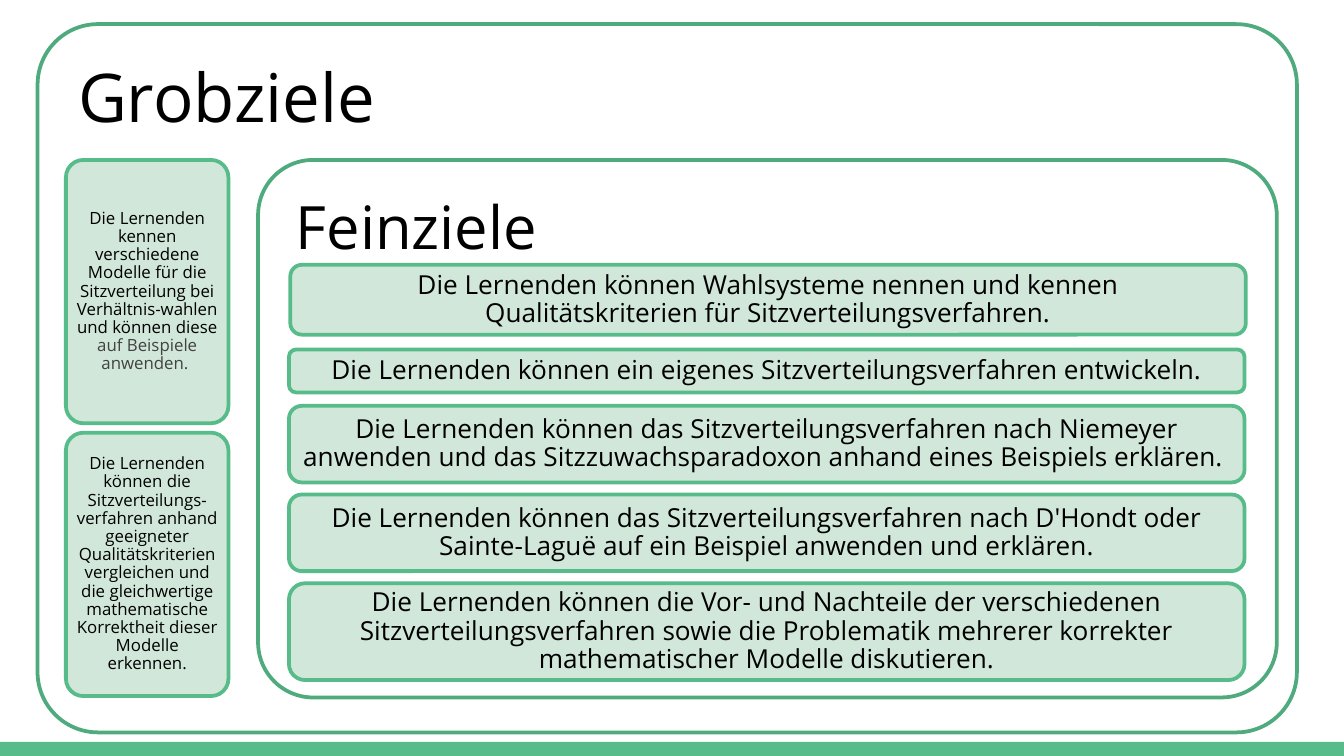
from pptx import Presentation
from pptx.dml.color import RGBColor
from pptx.enum.shapes import MSO_SHAPE
from pptx.enum.text import MSO_ANCHOR, PP_ALIGN
from pptx.util import Inches, Pt

SLIDE_W = 10
SLIDE_H = SLIDE_W * 9 / 16
GREEN, FRAME_GREEN, PALE, WHITE, BLACK, GREY = (
    "57BB8A", "4FAA7D", "D1E7DA", "FFFFFF", "000000", "424242")
CORNER_INSET = 0.29

FRAMES = [
    ("Grobziele", 36, (0.28, 0.18, 9.37, 5.27), 0.45, 0.3),
    ("Feinziele", 32, (1.92, 1.19, 7.58, 4), 0.41, 0.28),
]
BROAD_GOALS = [
    [("Die Lernenden kennen verschiedene Modelle für die Sitzverteilung bei "
      "Verhältnis-wahlen und können diese ", BLACK),
     ("auf Beispiele anwenden. ", GREY)],
    [("Die Lernenden können die Sitzverteilungs-verfahren anhand geeigneter "
      "Qualitätskriterien vergleichen und die gleichwertige mathematische "
      "Korrektheit dieser Modelle erkennen.", BLACK)],
]
FINE_GOALS = [
    ("Die Lernenden können Wahlsysteme nennen und kennen "
     "Qualitätskriterien für Sitzverteilungsverfahren.", 2.16, 1.97, 0.52, 0.12),
    ("Die Lernenden können ein eigenes Sitzverteilungsverfahren entwickeln.",
     2.15, 2.6, 0.32, 0.06),
    ("Die Lernenden können das Sitzverteilungsverfahren nach Niemeyer anwenden "
     "und das Sitzzuwachsparadoxon anhand eines Beispiels erklären. ",
     2.15, 3.02, 0.57, 0.06),
    ("Die Lernenden können das Sitzverteilungsverfahren nach D'Hondt oder "
     "Sainte-Laguë auf ein Beispiel anwenden und erklären.",
     2.15, 3.68, 0.57, 0.06),
    ("Die Lernenden können die Vor- und Nachteile der verschiedenen "
     "Sitzverteilungsverfahren sowie die Problematik mehrerer korrekter "
     "mathematischer Modelle diskutieren.", 2.15, 4.34, 0.72, 0.06),
]
BROAD_LEFT, BROAD_TOP, BROAD_W, BROAD_H, BROAD_GAP = 0.49, 1.19, 1.21, 1.96, 0.07
FINE_W = 7.11
BAR_TOP = 5.52


def color(hex_code):
    return RGBColor.from_string(hex_code)


def add_panel(slide, kind, at, fill, line=None):
    panel = slide.shapes.add_shape(kind, *map(Inches, at))
    panel.shadow.inherit = False
    panel.fill.solid()
    panel.fill.fore_color.rgb = color(fill)
    if line:
        panel.line.color.rgb = color(line)
        panel.line.width = Pt(2)
    else:
        panel.line.fill.background()
    return panel


def add_rounded(slide, at, radius, inset, fill, line, runs, size, align, anchor):
    panel = add_panel(slide, MSO_SHAPE.ROUNDED_RECTANGLE, at, fill, line)
    panel.adjustments[0] = radius / min(at[2:])
    frame = panel.text_frame
    frame.word_wrap = True
    frame.vertical_anchor = anchor
    frame.margin_left = frame.margin_right = Inches(inset)
    frame.margin_top = frame.margin_bottom = Inches(inset)
    paragraph = frame.paragraphs[0]
    paragraph.alignment = align
    paragraph.line_spacing = 0.9
    for text, ink in runs:
        run = paragraph.add_run()
        run.text = text
        run.font.name = "Open Sans"
        run.font.size = Pt(size)
        run.font.color.rgb = color(ink)


def add_goal(slide, at, radius, inset, runs, size):
    add_rounded(slide, at, radius, inset, PALE, GREEN, runs, size,
                PP_ALIGN.CENTER, MSO_ANCHOR.MIDDLE)


def main():
    """Build the slide of broad and fine learning goals."""
    deck = Presentation()
    deck.slide_width, deck.slide_height = Inches(SLIDE_W), Inches(SLIDE_H)
    slide = deck.slides.add_slide(deck.slide_layouts[6])
    add_panel(slide, MSO_SHAPE.RECTANGLE, (0, BAR_TOP, SLIDE_W, SLIDE_H - BAR_TOP), GREEN)

    for title, size, at, radius, inset in FRAMES:
        add_rounded(slide, at, radius, inset - CORNER_INSET * radius, WHITE, FRAME_GREEN,
                    [(title, BLACK)], size, PP_ALIGN.LEFT, MSO_ANCHOR.TOP)
    for row, runs in enumerate(BROAD_GOALS):
        top = BROAD_TOP + row * (BROAD_H + BROAD_GAP)
        add_goal(slide, (BROAD_LEFT, top, BROAD_W, BROAD_H), 0.13, 0.03, runs, 9)
    for text, left, top, height, inset in FINE_GOALS:
        add_goal(slide, (left, top, FINE_W, height), height / 6, inset, [(text, BLACK)], 14)

    deck.save("out.pptx")


if __name__ == "__main__":
    main()
